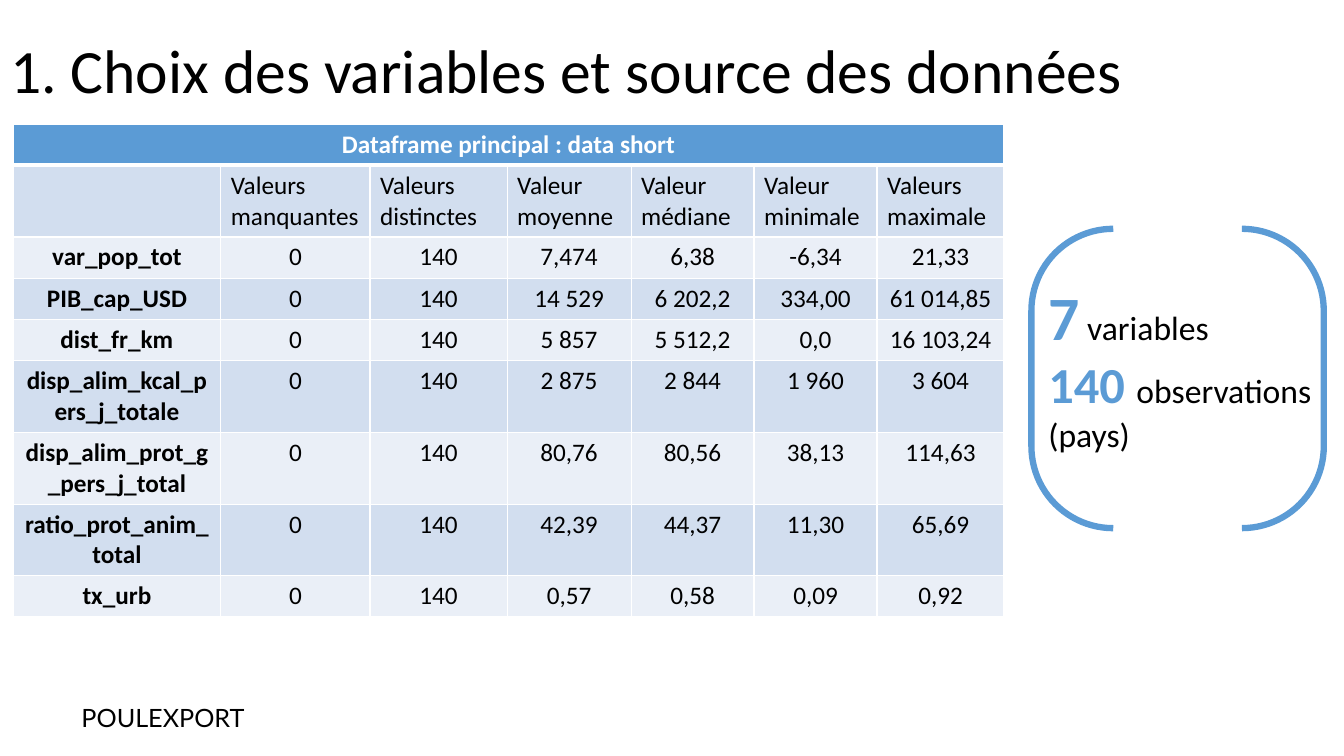
from lxml import etree
from pptx import Presentation
from pptx.dml.color import RGBColor
from pptx.enum.shapes import MSO_SHAPE as Shape
from pptx.enum.text import MSO_ANCHOR as Anchor, MSO_AUTO_SIZE as AutoSize, PP_ALIGN as Align
from pptx.oxml.ns import qn
from pptx.util import Inches, Pt

COLORS = {
    "accent": "5B9BD5",
    "band_dark": "D2DEEF",
    "band_light": "EAEFF7",
    "white": "FFFFFF",
    "black": "000000",
}
TABLE_TITLE = "Dataframe principal : data short"
COLUMN_WIDTHS = [2.06, 1.48, 1.36, 1.23, 1.22, 1.22, 1.26]
ROW_HEIGHT = 0.41
STATISTICS = [
    ["", "Valeurs manquantes", "Valeurs distinctes", "Valeur moyenne",
     "Valeur médiane", "Valeur minimale", "Valeurs maximale"],
    ["var_pop_tot", "0", "140", "7,474", "6,38", "-6,34", "21,33"],
    ["PIB_cap_USD", "0", "140", "14 529", "6 202,2", "334,00", "61 014,85"],
    ["dist_fr_km", "0", "140", "5 857", "5 512,2", "0,0", "16 103,24"],
    ["disp_alim_kcal_pers_j_totale", "0", "140", "2 875", "2 844", "1 960", "3 604"],
    ["disp_alim_prot_g_pers_j_total", "0", "140", "80,76", "80,56", "38,13", "114,63"],
    ["ratio_prot_anim_total", "0", "140", "42,39", "44,37", "11,30", "65,69"],
    ["tx_urb", "0", "140", "0,57", "0,58", "0,09", "0,92"],
]


def rgb(name):
    return RGBColor.from_string(COLORS[name])


def add_run(paragraph, text, size, color="black", bold=False, font="Calibri"):
    run = paragraph.add_run()
    run.text = text
    for attribute, value in {"size": Pt(size), "bold": bold, "name": font}.items():
        setattr(run.font, attribute, value)
    run.font.color.rgb = rgb(color)


def add_title(slide, left, top, width, height):
    title = slide.shapes.title
    box = {"left": left, "top": top, "width": width, "height": height}
    for attribute, value in box.items():
        setattr(title, attribute, Inches(value))
    title.text_frame.vertical_anchor = Anchor.MIDDLE
    title.text_frame.word_wrap = True
    paragraph = title.text_frame.paragraphs[0]
    paragraph.alignment = Align.LEFT
    paragraph.line_spacing = 0.9
    add_run(paragraph, "1. Choix des variables et source des données", 44)


def set_borders(cell, widths):
    """Draw white cell borders; widths maps a side (L, R, T, B) to points."""
    properties = cell._tc.get_or_add_tcPr()
    for side, width in widths.items():
        line = etree.SubElement(properties, qn(f"a:ln{side}"), w=str(Pt(width)))
        fill = etree.SubElement(line, qn("a:solidFill"))
        etree.SubElement(fill, qn("a:srgbClr"), val=COLORS["white"])


def format_cell(cell, fill, bottom=1, top=1):
    set_borders(cell, {"L": 1, "R": 1, "T": top, "B": bottom})
    cell.fill.solid()
    cell.fill.fore_color.rgb = rgb(fill)


def write_cell(cell, text, alignment, color="black", bold=False):
    paragraph = cell.text_frame.paragraphs[0]
    paragraph.alignment = alignment
    if text:
        add_run(paragraph, text, 18, color, bold)


def add_statistics_table(slide, left, top):
    row_count = len(STATISTICS) + 1
    table = slide.shapes.add_table(
        row_count, len(COLUMN_WIDTHS), Inches(left), Inches(top),
        Inches(sum(COLUMN_WIDTHS)), Inches(row_count * ROW_HEIGHT)).table
    for column, width in zip(table.columns, COLUMN_WIDTHS):
        column.width = Inches(width)
    for row in table.rows:
        row.height = Inches(ROW_HEIGHT)

    for cell in table.rows[0].cells:
        format_cell(cell, "accent", bottom=3)
    header = table.cell(0, 0)
    header.merge(table.cell(0, len(COLUMN_WIDTHS) - 1))
    write_cell(header, TABLE_TITLE, Align.CENTER, "white", True)

    for row_index, values in enumerate(STATISTICS, start=1):
        fill = "band_dark" if row_index % 2 else "band_light"
        alignment = Align.LEFT if row_index == 1 else Align.CENTER
        for column_index, text in enumerate(values):
            cell = table.cell(row_index, column_index)
            format_cell(cell, fill, top=3 if row_index == 1 else 1)
            write_cell(cell, text, alignment, bold=column_index == 0)


def add_text_box(slide, left, top, width, height, wrap):
    box = slide.shapes.add_textbox(Inches(left), Inches(top), Inches(width), Inches(height))
    box.text_frame.word_wrap = wrap
    box.text_frame.auto_size = AutoSize.SHAPE_TO_FIT_TEXT
    return box.text_frame


def add_project_name(slide, left, top, width, height):
    frame = add_text_box(slide, left, top, width, height, wrap=False)
    add_run(frame.paragraphs[0], "POULEXPORT", 18, font="Lato")


def add_dataset_size(slide, left, top, width, height):
    frame = add_text_box(slide, left + 0.07, top + 0.45, width + 0.06, 1.85, wrap=True)
    variables, observations = frame.paragraphs[0], frame.add_paragraph()
    add_run(variables, "7", 44, "accent", True)
    add_run(variables, " variables", 24)
    add_run(observations, "140 ", 36, "accent", True)
    add_run(observations, "observations (pays)", 24)

    brackets = slide.shapes.add_shape(
        Shape.DOUBLE_BRACKET, Inches(left), Inches(top), Inches(width), Inches(height))
    brackets.adjustments[0] = 0.28
    brackets.shadow.inherit = False
    brackets.fill.background()
    brackets.line.color.rgb = rgb("accent")
    brackets.line.width = Pt(4.5)


def main():
    presentation = Presentation()
    presentation.slide_width = Inches(13.33)
    presentation.slide_height = Inches(7.5)
    slide = presentation.slides.add_slide(presentation.slide_layouts[5])
    add_title(slide, 0, 0, 11.5, 1.45)
    add_statistics_table(slide, 0.13, 1.23)
    add_project_name(slide, 0.71, 6.92, 1.98, 0.4)
    add_dataset_size(slide, 10.23, 2.27, 2.9, 2.97)
    presentation.save("out.pptx")


if __name__ == "__main__":
    main()
